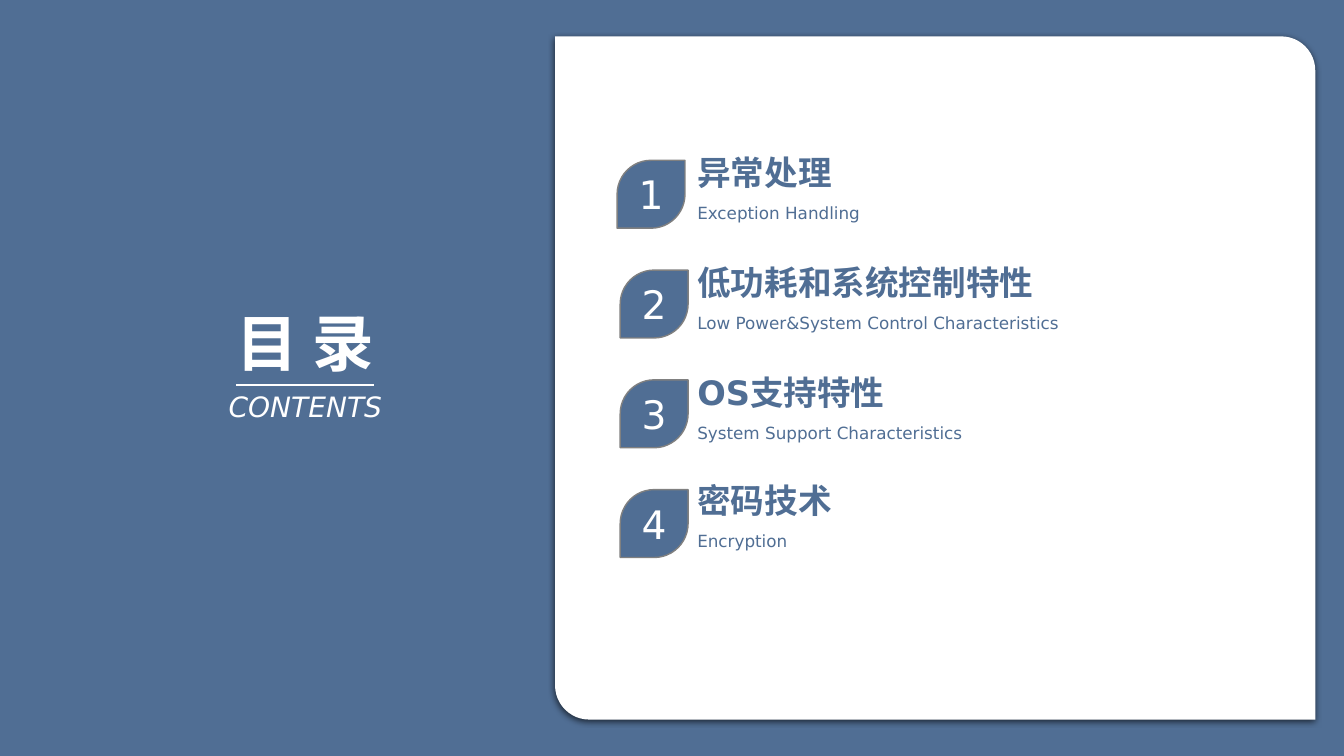
"""Build a contents slide with four numbered topics."""
from lxml import etree
from pptx import Presentation
from pptx.dml.color import RGBColor
from pptx.enum import lang, shapes, text
from pptx.oxml import ns
from pptx.util import Pt

BLUE = RGBColor(0x50, 0x6E, 0x94)
WHITE = RGBColor(255, 255, 255)
GRAY = RGBColor(128, 128, 128)
FACE = "DejaVu Sans"

HEADS = [
    ("目 录", 214.5, 60.5, dict(size=44, bold=True)),
    ("CONTENTS", 275, 31.7, dict(size=20, slant=True)),
]
TOPICS = [
    ("异常处理", "Exception Handling", 440.8, 105.2),
    ("低功耗和系统控制特性", "Low Power&System Control Characteristics", 443, 183.7),
    ("OS支持特性", "System Support Characteristics", 443, 262.1),
    ("密码技术", "Encryption", 443, 339.4),
]
FIRST, STEP, SIDE = 114.5, 78.4, 48.5


def write(shape, words, size, color, bold=False, slant=False, align=text.PP_ALIGN.LEFT):
    """Put one formatted line of text in a shape."""
    frame = shape.text_frame
    frame.word_wrap = True
    line = frame.paragraphs[0]
    line.alignment = align
    run = line.add_run()
    run.text = words
    font = run.font
    font.name, font.size, font.bold, font.italic = FACE, Pt(size), bold, slant
    font.color.rgb = color
    font.language_id = lang.MSO_LANGUAGE_ID.SIMPLIFIED_CHINESE


def label(slide, box, words, **form):
    """Add a text box."""
    write(slide.shapes.add_textbox(*map(Pt, box)), words, **form)


def leaf(slide, box, fill, curves):
    """Add a rectangle with two opposite round corners."""
    shape = slide.shapes.add_shape(
        shapes.MSO_SHAPE.ROUND_2_DIAG_RECTANGLE, *map(Pt, box))
    shape.adjustments[0], shape.adjustments[1] = curves
    shape.shadow.inherit = False
    shape.fill.solid()
    shape.fill.fore_color.rgb = fill
    return shape


def shade(shape):
    """Give a shape a soft shadow below it."""
    glow = shape.element.spPr.find(ns.qn("a:effectLst"))
    drop = etree.SubElement(
        glow, ns.qn("a:outerShdw"), blurRad=str(Pt(4.5)), dist=str(Pt(1.5)),
        dir="5400000", algn="ctr", rotWithShape="0")
    tint = etree.SubElement(drop, ns.qn("a:srgbClr"), val="000000")
    etree.SubElement(tint, ns.qn("a:alpha"), val="63000")


def main():
    """Draw the slide and save it."""
    deck = Presentation()
    deck.slide_width, deck.slide_height = Pt(960), Pt(540)
    slide = deck.slides.add_slide(deck.slide_layouts[6])
    back = slide.background.fill
    back.solid()
    back.fore_color.rgb = BLUE

    panel = leaf(slide, (396.5, 26, 543, 488), WHITE, (0, 0.05))
    panel.line.fill.background()
    shade(panel)

    for words, top, high, form in HEADS:
        label(slide, (123.8, top, 188.6, high), words, color=WHITE,
              align=text.PP_ALIGN.CENTER, **form)
    rule = slide.shapes.add_connector(
        shapes.MSO_CONNECTOR.STRAIGHT, Pt(168.5), Pt(275), Pt(267.5), Pt(275))
    rule.line.color.rgb = WHITE
    rule.line.width = Pt(1.5)
    etree.SubElement(rule.element.spPr, ns.qn("a:effectLst"))

    for row, (name, gloss, left, top) in enumerate(TOPICS):
        label(slide, (491, top, 407.5, 36), name, size=24, color=BLUE, bold=True)
        label(slide, (491, top + 36.4, 407.5, 21.8), gloss, size=12, color=BLUE)
        badge = leaf(slide, (left, FIRST + row * STEP, SIDE, SIDE), BLUE, (0.5, 0))
        badge.line.color.rgb = GRAY
        badge.line.width = Pt(1)
        badge.text_frame.vertical_anchor = text.MSO_ANCHOR.MIDDLE
        write(badge, str(row + 1), size=28, color=WHITE, align=text.PP_ALIGN.CENTER)

    deck.save("out.pptx")


if __name__ == "__main__":
    main()
